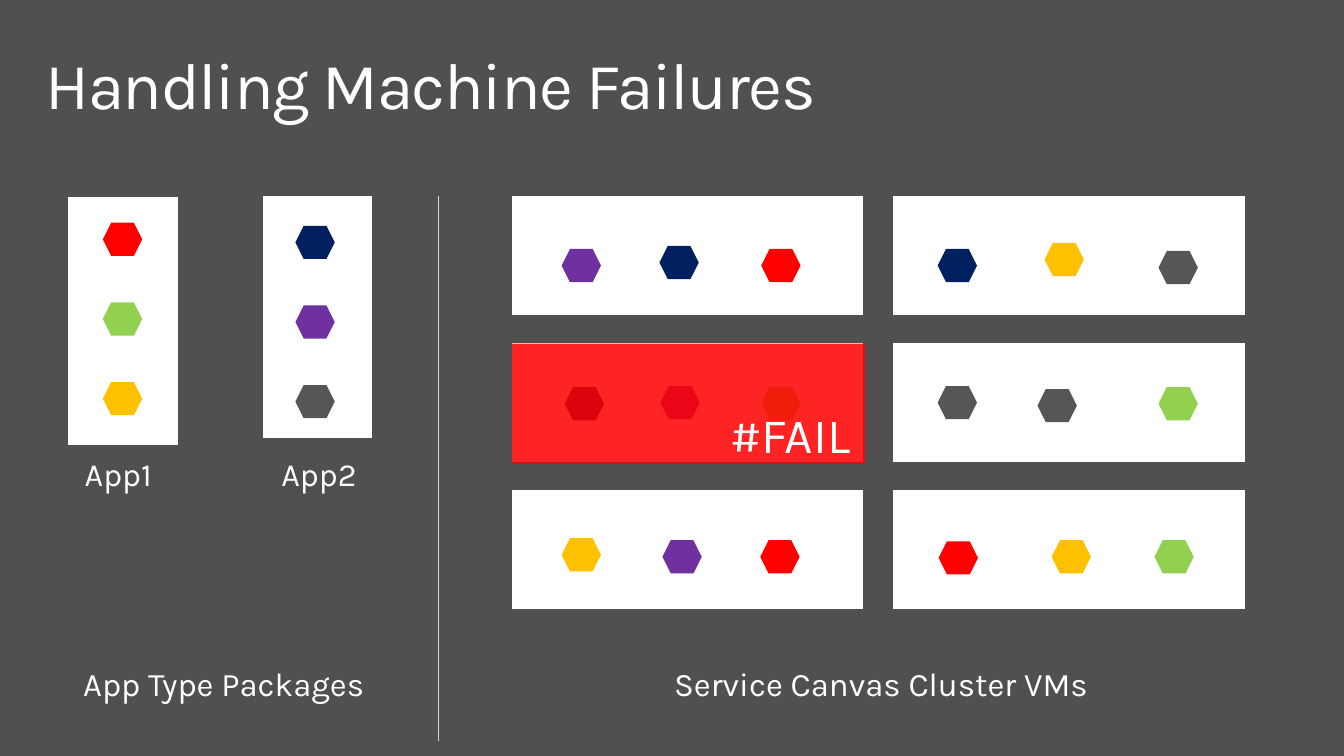
import pptx
import pptx.util
import pptx.dml.color
import pptx.enum.shapes
import pptx.enum.text
import lxml.etree

COLS, ROWS = 1333, 750
CELL = pptx.util.Inches(0.01)
FONT = "Karla"
WHITE, GRAY, BACK = "FFFFFF", "565656", "505050"
RED, GREEN, GOLD = "FF0000", "92D050", "FFC000"
NAVY, PLUM = "002060", "7030A0"
KIND = pptx.enum.shapes.MSO_SHAPE
ALIGN = pptx.enum.text.PP_ALIGN

# Packages: name, box, label column, first hexagon offset, colours
APPS = [
    ("App1", (67, 195, 110, 247), 65, (35, 26), (RED, GREEN, GOLD)),
    ("App2", (260, 194, 110, 241), 260, (33, 30), (NAVY, PLUM, GRAY)),
]
# Machines by (column, row): hexagon colours with offsets inside the box
NODES = {
    (0, 0): [(PLUM, 50, 53), (NAVY, 147, 50), (RED, 248, 53)],
    (1, 0): [(NAVY, 45, 53), (GOLD, 151, 47), (GRAY, 264, 55)],
    (0, 1): [(NAVY, 53, 44), (PLUM, 148, 43), (GREEN, 248, 44)],
    (1, 1): [(GRAY, 45, 43), (GRAY, 144, 46), (GREEN, 264, 44)],
    (0, 2): [(GOLD, 50, 48), (PLUM, 150, 50), (RED, 247, 50)],
    (1, 2): [(RED, 46, 51), (GOLD, 158, 50), (GREEN, 260, 50)],
}
NODE_SIZE = (350, 119)


def grid(*cells):
    """Turn grid cells into slide lengths."""
    return [round(cell * CELL) for cell in cells]


def paint(target, color):
    """Give a fill or line fill a solid hex colour."""
    target.solid()
    target.fore_color.rgb = pptx.dml.color.RGBColor.from_string(color)


def add_tag(parent, name, **attrs):
    """Append a drawing element to an XML parent."""
    return lxml.etree.SubElement(parent, pptx.oxml.ns.qn(name), attrs)


def draw(slide, kind, box, color, edge=None, alpha=None):
    """Draw a filled preset shape, with an edge or alpha if given."""
    shape = slide.shapes.add_shape(kind, *grid(*box))
    shape.shadow.inherit = False
    paint(shape.fill, color)
    if alpha:
        tint = shape.fill._xPr.find(".//" + pptx.oxml.ns.qn("a:srgbClr"))
        add_tag(tint, "a:alpha", val=str(alpha * 1000))
    if edge:
        paint(shape.line.fill, edge)
        shape.line.width = pptx.util.Pt(0.85)
    else:
        shape.line.fill.background()


def write(frame, text, size=23.5, pad=(20, 16), after=5.9, align=None, track=0):
    """Fill a text frame with one formatted paragraph."""
    frame.margin_left, frame.margin_top = grid(*pad)
    frame.margin_right, frame.margin_bottom = grid(*pad)
    frame.word_wrap = True
    frame.vertical_anchor = pptx.enum.text.MSO_ANCHOR.TOP
    para = frame.paragraphs[0]
    para.line_spacing = 0.9
    para.space_before = pptx.util.Pt(0)
    para.space_after = pptx.util.Pt(after)
    para.alignment = align
    run = para.add_run()
    run.text = text
    run.font.name = FONT
    run.font.size = pptx.util.Pt(size)
    paint(run.font.fill, WHITE)
    if track:
        run.font._element.set("spc", str(track * 100))


def label(slide, box, text, **style):
    """Add a text box that grows with its text."""
    frame = slide.shapes.add_textbox(*grid(*box)).text_frame
    write(frame, text, **style)
    frame.auto_size = pptx.enum.text.MSO_AUTO_SIZE.SHAPE_TO_FIT_TEXT


def head(slide, text):
    """Place and fill the title placeholder."""
    title = slide.shapes.title
    title.left, title.top, title.width, title.height = grid(29, 42, 1250, 96)
    write(title.text_frame, text, size=47, pad=(16, 10), after=0,
          align=ALIGN.LEFT, track=-1)
    title.text_frame.auto_size = pptx.enum.text.MSO_AUTO_SIZE.NONE


def pod(slide, left, top, color):
    """Draw one service hexagon."""
    draw(slide, KIND.HEXAGON, (left, top, 39, 33), color)


def app(slide, name, box, col, first, colors):
    """Draw a package with its column of hexagons and its name."""
    draw(slide, KIND.RECTANGLE, box, WHITE, edge=BACK)
    for i, color in enumerate(colors):
        pod(slide, box[0] + first[0], box[1] + first[1] + 79 * i, color)
    label(slide, (col, 440, 128, 66), name, size=23.1, pad=(19, 15), after=5.8)


def node(slide, col, row, pods):
    """Draw a machine with its hexagons."""
    left, top = 507 + 378 * col, 194 + 146 * row
    draw(slide, KIND.RECTANGLE, (left, top, *NODE_SIZE), WHITE, edge=BACK)
    for color, right, down in pods:
        pod(slide, left + right, top + down, color)


def rule(slide, col, top, end):
    """Draw the upright line between the two halves."""
    line = slide.shapes.add_connector(
        pptx.enum.shapes.MSO_CONNECTOR.STRAIGHT, *grid(col, top, col, end))
    paint(line.line.fill, "D9D9D9")
    line.line.width = pptx.util.Pt(1)
    add_tag(line._element.spPr, "a:effectLst")


def main():
    """Build and save the slide."""
    deck = pptx.Presentation()
    deck.slide_width, deck.slide_height = grid(COLS, ROWS)
    slide = deck.slides.add_slide(deck.slide_layouts[5])
    paint(slide.background.fill, BACK)
    head(slide, "Handling Machine Failures")
    for item in APPS:
        app(slide, *item)
    for (col, row), pods in NODES.items():
        node(slide, col, row, pods)
    rule(slide, 435, 194, 735)
    label(slide, (29, 647, 386, 67), "App Type Packages", align=ALIGN.CENTER)
    label(slide, (469, 647, 810, 67), "Service Canvas Cluster VMs",
          align=ALIGN.CENTER)
    draw(slide, KIND.RECTANGLE, (508, 341, *NODE_SIZE), RED, alpha=86)
    label(slide, (705, 392, 184, 85), "#FAIL", size=35.3)
    deck.save("out.pptx")


main()
